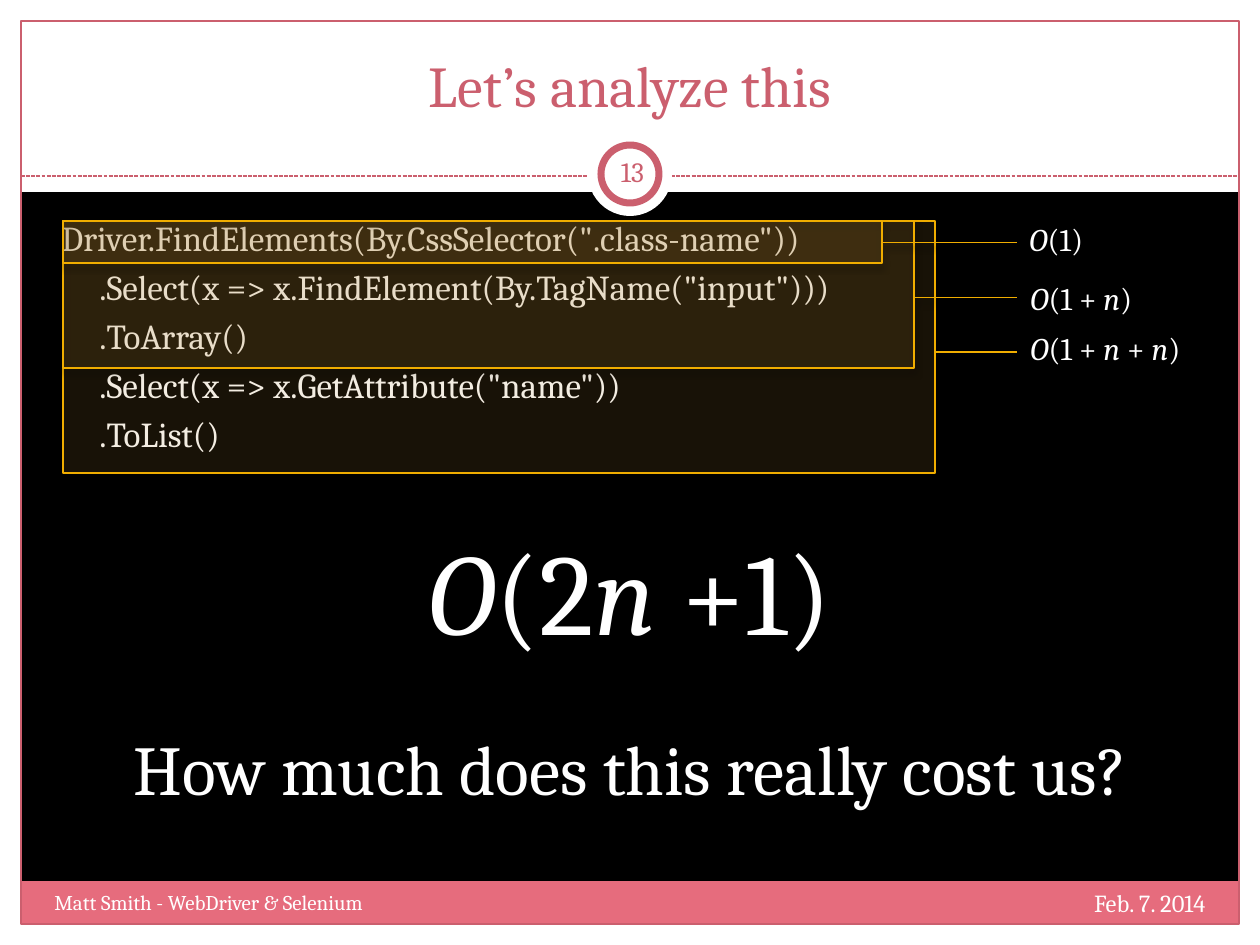
"""Build the slide that analyses the cost of a chained element query."""
from dataclasses import dataclass

from lxml.etree import SubElement
from pptx import Presentation
from pptx.dml.color import RGBColor
from pptx.enum.dml import MSO_LINE
from pptx.enum.shapes import MSO_CONNECTOR, MSO_SHAPE
from pptx.enum.text import MSO_ANCHOR, MSO_AUTO_SIZE, PP_ALIGN
from pptx.oxml.ns import qn
from pptx.util import Emu, Pt

TITLE = "Let’s analyze this"
PAGE = "13"
AUTHOR = "Matt Smith - WebDriver & Selenium"
DATE = "Feb. 7. 2014"
CODE = [
    'Driver.FindElements(By.CssSelector(".class-name"))',
    '.Select(x => x.FindElement(By.TagName("input")))',
    ".ToArray()",
    '.Select(x => x.GetAttribute("name"))',
    ".ToList()",
]
COSTS = [
    ("*O*(1)", (1017, 214, 88, 50)),
    ("*O*(1 + *n*)", (1018, 273, 141, 50)),
    ("*O*(1 + *n* + *n*)", (1018, 323, 195, 50)),
]
SCOPES = [(872, 252), (851, 147), (819, 42)]
TOTAL = "*O*(2*n* +1)"
QUESTION = "How much does this really cost us?"

WIDTH, HEIGHT, EDGE, HEADER = 1260, 945, 21, 192
RULE_Y, RING_CENTER = 176, (630, 174)
SCOPE_LEFT, SCOPE_TOP, CALLOUT_TIP = 63, 221, 1017
CODE_INDENTS = [7] + [45] * 4


@dataclass(frozen=True)
class Theme:
    font: str = "Cambria"
    black: str = "000000"
    white: str = "FFFFFF"
    rose: str = "CB5F6E"
    band: str = "E66C7D"
    scope: str = "F1B245"
    scope_line: str = "F0AD00"
    title: int = 33
    total: int = 66
    question: int = 40
    code: int = 20
    cost: int = 18
    page: int = 16
    date: int = 14
    author: int = 12


THEME = Theme()


def px(length):
    return Emu(round(length * 914400 / 126))


def rgb(color):
    return RGBColor.from_string(color)


def add_panel(slide, box, fill=None, line=None, weight=0.75, kind=MSO_SHAPE.RECTANGLE):
    panel = slide.shapes.add_shape(kind, *map(px, box))
    panel.shadow.inherit = False
    if fill:
        panel.fill.solid()
        panel.fill.fore_color.rgb = rgb(fill)
    else:
        panel.fill.background()
    if line:
        panel.line.color.rgb = rgb(line)
        panel.line.width = Pt(weight)
    else:
        panel.line.fill.background()
    return panel


def add_circle(slide, diameter, **style):
    x, y = RING_CENTER
    box = (x - diameter / 2, y - diameter / 2, diameter, diameter)
    add_panel(slide, box, THEME.white, kind=MSO_SHAPE.OVAL, **style)


def add_text(slide, box, lines, size, color=THEME.white, align=PP_ALIGN.LEFT,
             anchor=MSO_ANCHOR.TOP, wrap=True, grow=False):
    frame = slide.shapes.add_textbox(*map(px, box)).text_frame
    frame.word_wrap = wrap
    frame.vertical_anchor = anchor
    frame.auto_size = MSO_AUTO_SIZE.SHAPE_TO_FIT_TEXT if grow else MSO_AUTO_SIZE.NONE
    for number, line in enumerate(lines):
        paragraph = frame.add_paragraph() if number else frame.paragraphs[0]
        paragraph.alignment = align
        paragraph.font.name = THEME.font
        paragraph.font.size = Pt(size)
        paragraph.font.color.rgb = rgb(color)
        for position, words in enumerate(line.split("*")):
            if words:
                run = paragraph.add_run()
                run.text = words
                if position % 2:
                    run.font.italic = True
    return frame


def add_rule(slide):
    rule = slide.shapes.add_connector(
        MSO_CONNECTOR.STRAIGHT, px(EDGE), px(RULE_Y), px(WIDTH - EDGE), px(RULE_Y))
    rule.line.color.rgb = rgb(THEME.rose)
    rule.line.width = Pt(0.75)
    rule.line.dash_style = MSO_LINE.SQUARE_DOT
    SubElement(rule._element.spPr, qn("a:effectLst"))


def add_scope(slide, width, height):
    scope = add_panel(slide, (SCOPE_LEFT, SCOPE_TOP, width, height), THEME.scope,
                      THEME.scope_line, kind=MSO_SHAPE.LINE_CALLOUT_1)
    reach = (CALLOUT_TIP - SCOPE_LEFT) / width
    for index, value in enumerate((0.52, 1, 0.52, reach)):
        scope.adjustments[index] = value
    properties = scope._element.spPr
    fill_color = properties.find(qn("a:solidFill"))[0]
    SubElement(fill_color, qn("a:alpha"), val="10000")
    shadow = SubElement(properties.find(qn("a:effectLst")), qn("a:outerShdw"),
                        blurRad=str(Pt(4)), dist=str(Pt(2)), dir="5400000", rotWithShape="0")
    shadow_color = SubElement(shadow, qn("a:srgbClr"), val=THEME.black)
    SubElement(shadow_color, qn("a:alpha"), val="45000")


def add_frame(slide):
    inner_width, inner_height = WIDTH - 2 * EDGE, HEIGHT - 2 * EDGE
    for border in [
        (0, HEIGHT - EDGE, WIDTH, EDGE),
        (0, 0, WIDTH, HEADER),
        (0, 0, EDGE, HEIGHT),
        (WIDTH - EDGE, 0, EDGE, HEIGHT),
    ]:
        add_panel(slide, border, THEME.white)
    add_panel(slide, (EDGE, 881, inner_width, 43), THEME.band)
    add_panel(slide, (EDGE, EDGE, inner_width, inner_height), line=THEME.rose)
    add_rule(slide)
    add_circle(slide, 84)
    add_circle(slide, 58, line=THEME.rose, weight=4)


def add_code(slide):
    frame = add_text(slide, (42, 210, 1172, 630), CODE, THEME.code)
    for paragraph, indent in zip(frame.paragraphs, CODE_INDENTS):
        paragraph.space_before = Pt(THEME.code * 0.2)
        paragraph._p.get_or_add_pPr().set("marL", str(px(indent)))


def main():
    deck = Presentation()
    deck.slide_width, deck.slide_height = px(WIDTH), px(HEIGHT)
    slide = deck.slides.add_slide(deck.slide_layouts[6])
    slide.background.fill.solid()
    slide.background.fill.fore_color.rgb = rgb(THEME.black)

    add_frame(slide)
    add_text(slide, (42, 32, 1176, 105), [TITLE], THEME.title, THEME.rose,
             PP_ALIGN.CENTER, MSO_ANCHOR.MIDDLE)
    add_text(slide, (798, 882, 420, 50), [DATE], THEME.date, align=PP_ALIGN.RIGHT)
    add_text(slide, (42, 883, 494, 50), [AUTHOR], THEME.author)
    add_text(slide, (601, 141, 63, 60), [PAGE], THEME.page, THEME.rose,
             PP_ALIGN.CENTER, MSO_ANCHOR.MIDDLE)
    add_code(slide)
    for width, height in SCOPES:
        add_scope(slide, width, height)
    for cost, box in COSTS:
        add_text(slide, box, [cost], THEME.cost, wrap=False, grow=True)
    add_text(slide, (21, 514, 1218, 152), [TOTAL], THEME.total,
             align=PP_ALIGN.CENTER, grow=True)
    add_text(slide, (21, 719, 1218, 97), [QUESTION], THEME.question,
             align=PP_ALIGN.CENTER, grow=True)
    deck.save("out.pptx")


if __name__ == "__main__":
    main()
